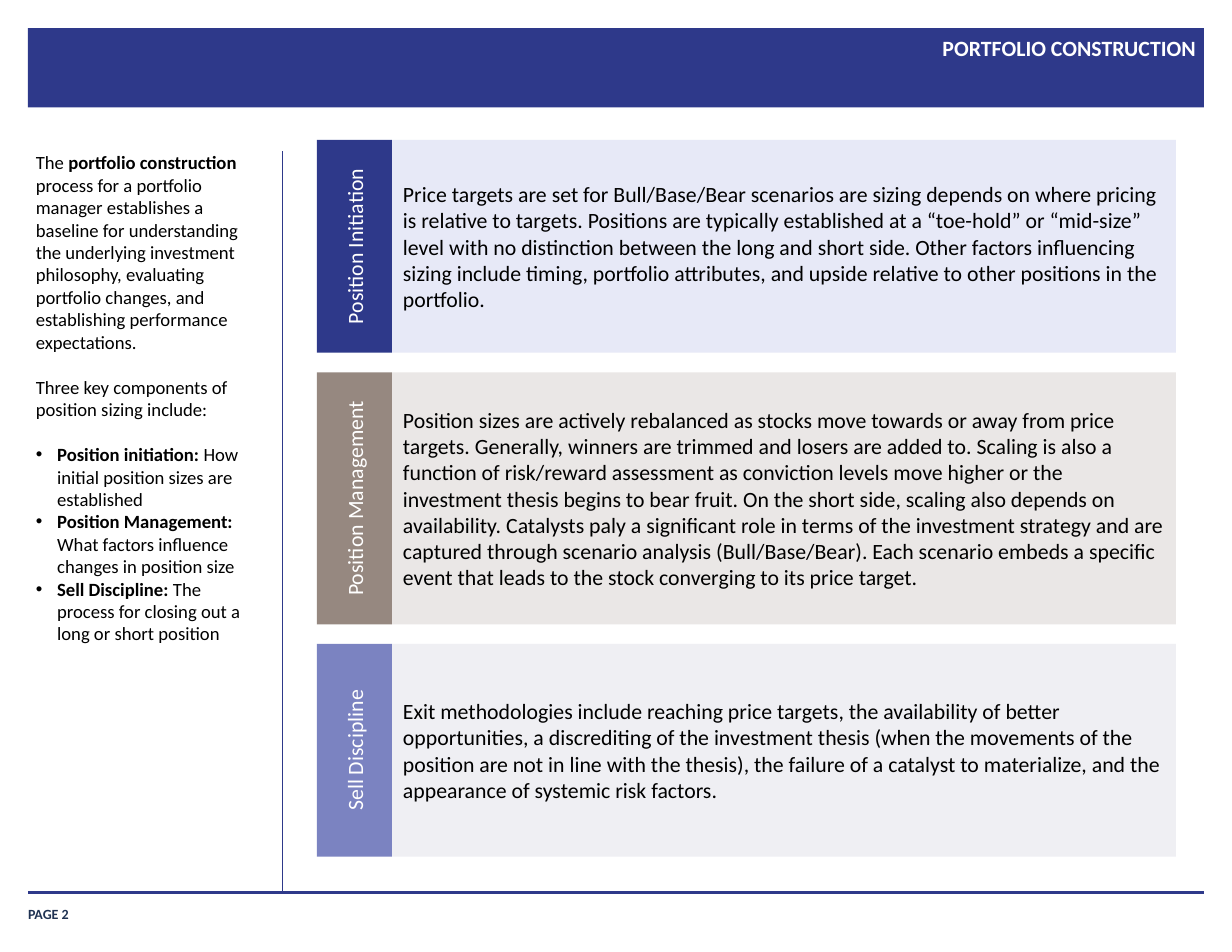
from lxml.etree import SubElement
from pptx import Presentation
from pptx.dml.color import RGBColor
from pptx.enum.shapes import MSO_CONNECTOR, MSO_SHAPE
from pptx.enum.text import MSO_ANCHOR, MSO_AUTO_SIZE, PP_ALIGN
from pptx.oxml.ns import qn
from pptx.util import Inches, Pt

COLS, ROWS = 44, 34
CELL = 0.25
HUES = {
    "navy": "2E398A", "ink": "203353", "black": "000000", "white": "FFFFFF",
    "taupe": "968880", "iris": "7B83C1",
    "mist": "E7E9F7", "sand": "EAE7E6", "haze": "EFEFF3",
}
TOP, BASE = 5, 30.6
PANELS = [
    ("Position Initiation", "navy", "mist", 7.6,
     "Price targets are set for Bull/Base/Bear scenarios are sizing depends on where "
     "pricing is relative to targets. Positions are typically established at a “toe-hold” "
     "or “mid-size” level with no distinction between the long and short side. Other "
     "factors influencing sizing include timing, portfolio attributes, and upside relative "
     "to other positions in the portfolio."),
    ("Position Management", "taupe", "sand", 9,
     "Position sizes are actively rebalanced as stocks move towards or away from price "
     "targets. Generally, winners are trimmed and losers are added to. Scaling is also a "
     "function of risk/reward assessment as conviction levels move higher or the investment "
     "thesis begins to bear fruit. On the short side, scaling also depends on availability. "
     "Catalysts paly a significant role in terms of the investment strategy and are captured "
     "through scenario analysis (Bull/Base/Bear). Each scenario embeds a specific event that "
     "leads to the stock converging to its price target."),
    ("Sell Discipline", "iris", "haze", 7.6,
     "Exit methodologies include reaching price targets, the availability of better "
     "opportunities, a discrediting of the investment thesis (when the movements of the "
     "position are not in line with the thesis), the failure of a catalyst to materialize, "
     "and the appearance of systemic risk factors."),
]
INTRO = [
    [("The ", False), ("portfolio construction", True),
     (" process for a portfolio manager establishes a baseline for understanding the "
      "underlying investment philosophy, evaluating portfolio changes, and establishing "
      "performance expectations.", False)],
    [("Three key components of position sizing include:", False)],
]
POINTS = [
    ("Position initiation: ", "How initial position sizes are established"),
    ("Position Management: ", "What factors influence changes in position size"),
    ("Sell Discipline: ", "The process for closing out a long or short position"),
]


def grid(*cells):
    return [Inches(cell * CELL) for cell in cells]


def color(name):
    return RGBColor.from_string(HUES[name])


def format(item, **values):
    for name, value in values.items():
        setattr(item, name, value)


def write(par, text, size, hue, bold=False):
    run = par.add_run()
    run.text = text
    format(run.font, name="Calibri", size=Pt(size), bold=bold)
    run.font.color.rgb = color(hue)


def frame(shape, anchor):
    body = shape.text_frame
    format(body, word_wrap=True, auto_size=MSO_AUTO_SIZE.NONE, vertical_anchor=anchor,
           margin_left=0, margin_right=0, margin_top=0, margin_bottom=0)
    return body


def block(slide, box, hue):
    shape = slide.shapes.add_shape(MSO_SHAPE.RECTANGLE, *grid(*box))
    shape.shadow.inherit = False
    shape.fill.solid()
    shape.fill.fore_color.rgb = color(hue)
    shape.line.fill.background()
    return shape


def label(shape, text, hue, align):
    body = shape.text_frame
    format(body, word_wrap=True, vertical_anchor=MSO_ANCHOR.MIDDLE)
    par = body.paragraphs[0]
    par.alignment = align
    write(par, text, 14, hue)


def rule(slide, ends, width):
    line = slide.shapes.add_connector(MSO_CONNECTOR.STRAIGHT, *grid(*ends))
    line.line.color.rgb = color("navy")
    line.line.width = Pt(width)
    SubElement(line._element.spPr, qn("a:effectLst"))


def bullet(par):
    props = par._p.get_or_add_pPr()
    props.set("marL", str(Inches(0.19)))
    props.set("indent", str(-Inches(0.19)))
    SubElement(props, qn("a:buFont"), typeface="Arial")
    SubElement(props, qn("a:buChar"), char="•")


def head(slide):
    block(slide, (1, 1, COLS - 2, 2.84), "navy")
    title = slide.shapes.title
    slide.shapes._spTree.append(title._element)
    left, top, width, height = grid(12.68, 1.16, 30.04, 2.68)
    format(title, left=left, top=top, width=width, height=height)
    par = frame(title, MSO_ANCHOR.TOP).paragraphs[0]
    format(par, alignment=PP_ALIGN.RIGHT, line_spacing=1.1)
    write(par, "PORTFOLIO CONSTRUCTION", 14, "white", True)


def foot(slide):
    box = slide.shapes.add_textbox(*grid(1, 32.04, 3.64, 0.92))
    par = frame(box, MSO_ANCHOR.BOTTOM).paragraphs[0]
    write(par, "PAGE 2", 9, "ink", True)
    rule(slide, (1, 31.88, COLS - 1, 31.88), 2.25)


def aside(slide):
    rule(slide, (10.08, 5.4, 10.08, 31.88), 0.5)
    box = slide.shapes.add_textbox(*grid(1.28, 5.4, 8.04, 25.92))
    body = frame(box, MSO_ANCHOR.TOP)
    points = [[(name, True), (text, False)] for name, text in POINTS]
    for index, parts in enumerate(INTRO + points):
        par = body.add_paragraph() if index else body.paragraphs[0]
        if index >= len(INTRO):
            bullet(par)
        if 0 < index <= len(INTRO):
            par.space_before = Pt(14.6)
        for text, bold in parts:
            write(par, text, 12, "black", bold)


def panels(slide):
    gap = (BASE - TOP - sum(panel[3] for panel in PANELS)) / (len(PANELS) - 1)
    top = TOP
    for name, dark, pale, height, text in PANELS:
        card = block(slide, (14, top, 28, height), pale)
        label(card, text, "black", PP_ALIGN.LEFT)
        tab = block(slide, (11.32, top, 2.68, height), dark)
        label(tab, name, "white", PP_ALIGN.CENTER)
        tab.text_frame._txBody.bodyPr.set("vert", "vert270")
        top += height + gap


def main():
    deck = Presentation()
    deck.slide_width, deck.slide_height = grid(COLS, ROWS)
    slide = deck.slides.add_slide(deck.slide_layouts[5])
    head(slide)
    foot(slide)
    aside(slide)
    panels(slide)
    deck.save("out.pptx")


if __name__ == "__main__":
    main()
